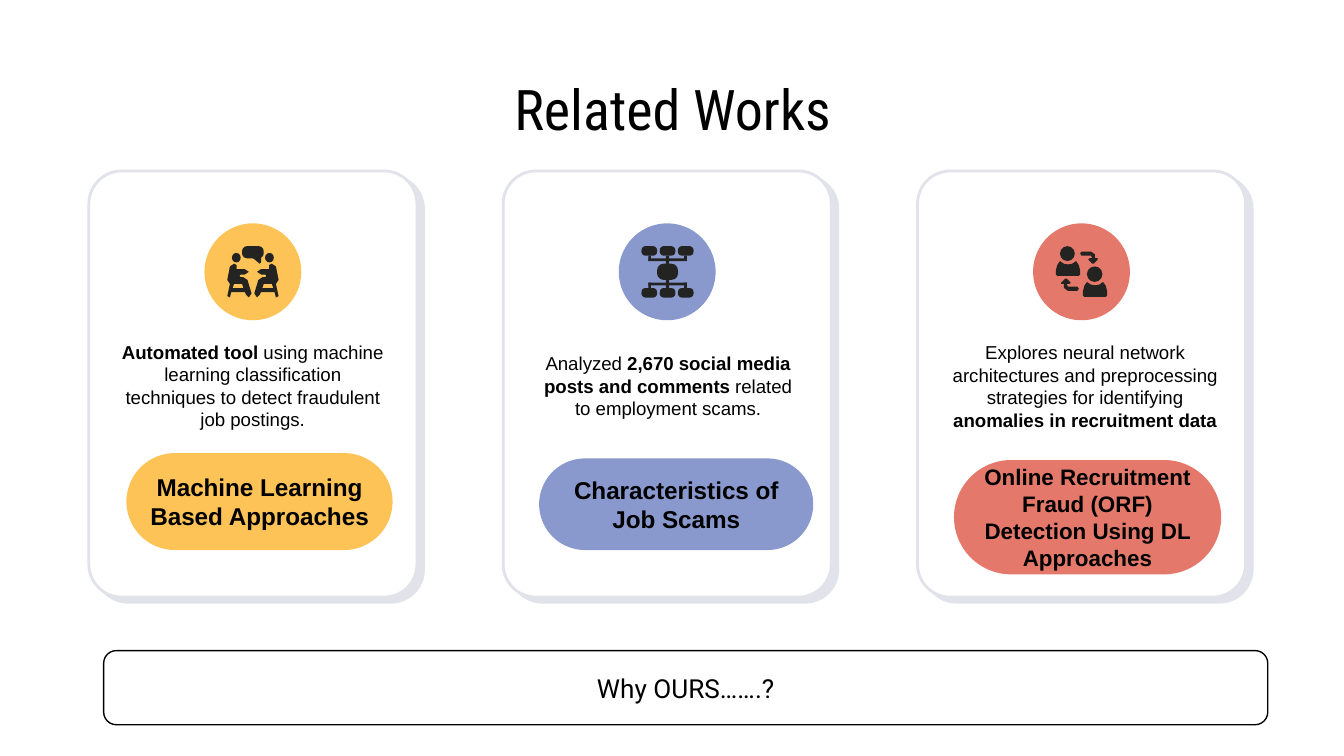
from lxml import etree
from pptx import Presentation
from pptx.dml.color import RGBColor
from pptx.enum.shapes import MSO_SHAPE
from pptx.enum.text import MSO_ANCHOR, PP_ALIGN
from pptx.oxml.ns import qn
from pptx.util import Cm, Pt

ROUNDED, ELLIPSE, RECTANGLE = MSO_SHAPE.ROUNDED_RECTANGLE, MSO_SHAPE.OVAL, MSO_SHAPE.RECTANGLE
CENTER, MIDDLE = PP_ALIGN.CENTER, MSO_ANCHOR.MIDDLE

BLACK = RGBColor(0x00, 0x00, 0x00)
WHITE = RGBColor(0xFF, 0xFF, 0xFF)
INK = RGBColor(0x23, 0x23, 0x21)
BORDER = RGBColor(0xE1, 0xE2, 0xEA)
YELLOW = RGBColor(0xFE, 0xC3, 0x57)
BLUE = RGBColor(0x89, 0x99, 0xCE)
RED = RGBColor(0xE4, 0x79, 0x6B)

# Icons lie on a 38 x 38 grid: (preset, box) or (None, list of outlines)
TORSO = [(5, 13), (7, 14), (7, 17), (13, 17), (16, 19), (13, 21), (10, 21), (9, 22),
         (10, 23), (12, 23), (15, 25), (18, 35), (16, 38), (14, 36), (13, 34),
         (3, 34), (2, 38), (0, 37), (2, 28), (0, 25), (2, 15)]
STOOL_GAP = [(5, 28), (11, 28), (12, 31), (4, 31)]
BUST = [(3, 11), (6, 13), (9, 13.5), (12, 13), (15, 11), (17, 14), (18, 18),
        (18, 21), (17, 22), (1, 22), (0, 21), (0, 18), (1, 14)]
ARROW = [(19, 4), (26, 4), (29, 6), (29, 9), (31, 9), (31, 10), (28, 13), (27, 13),
         (24, 10), (25, 9), (27, 9), (26, 7), (19, 7), (18, 5.5)]
BUBBLE_TAIL = [(18, 8), (25, 8), (25, 12), (24, 13)]


def mirrored(outline):
    return [(38 - x, y) for x, y in outline]


INTERVIEW = [
    (ELLIPSE, (3.5, 5, 6.5, 7)), (ELLIPSE, (28, 5, 6.5, 7)),
    (ROUNDED, (11, 0, 16, 9)), (None, [BUBBLE_TAIL]),
    (None, [TORSO, STOOL_GAP]), (None, [mirrored(TORSO), mirrored(STOOL_GAP)]),
]
NETWORK = (
    [(ROUNDED, (x, y, 11.5, 7)) for y in (0, 31) for x in (0, 13.5, 27)]
    + [(RECTANGLE, (x, y, 2, 4)) for y in (7, 27) for x in (5, 31.5)]
    + [(RECTANGLE, (5, y, 28.5, 2)) for y in (9, 27)]
    + [(RECTANGLE, (18, 7, 2.5, 24)), (ROUNDED, (11.5, 13, 15.5, 12))]
)
EXCHANGE = [
    (ELLIPSE, (3, 0, 11, 11)), (ELLIPSE, (23, 15, 11.5, 11.5)),
    (None, [BUST]), (None, [[(x + 20, y + 15.5) for x, y in BUST]]),
    (None, [ARROW]), (None, [[(35 - x, 37 - y) for x, y in ARROW]]),
]

# Boxes are left, top, width, height in cm; text is paragraphs of (words, bold)
TITLE = [[("Related Works", False)]]
BANNER = [[("Why OURS…….?", False)]]
CARDS = [
    {"color": YELLOW, "icon": INTERVIEW, "size": 13,
     "summary_box": (2.03, 6.5, 5.49, 1.57), "pill_box": (2.39, 8.56, 5.03, 1.83),
     "summary": [[("Automated tool", True),
                  (" using machine learning classification techniques to detect "
                   "fraudulent job postings.", False)]],
     "heading": [[("Machine Learning", True)], [("Based Approaches", True)]]},
    {"color": BLUE, "icon": NETWORK, "size": 13,
     "summary_box": (9.88, 6.5, 5.49, 1.57), "pill_box": (10.19, 8.66, 5.18, 1.73),
     "summary": [[("Analyzed ", False), ("2,670 social media posts and comments", True),
                  (" related to employment scams.", False)]],
     "heading": [[("Characteristics of Job Scams", True)]]},
    {"color": RED, "icon": EXCHANGE, "size": 12,
     "summary_box": (17.7, 6.38, 5.61, 1.83), "pill_box": (18.03, 8.69, 5.05, 2.16),
     "summary": [[("Explores neural network architectures and preprocessing strategies "
                   "for identifying ", False), ("anomalies in recruitment data", True)]],
     "heading": [[("Online Recruitment Fraud (ORF) Detection Using DL Approaches", True)]]},
]
CARD_LEFT, CARD_TOP, CARD_WIDTH, CARD_HEIGHT, CARD_PITCH = 1.68, 3.23, 6.2, 8.05, 7.83
CIRCLE_TOP, CIRCLE_SIZE, ICON_SIZE = 4.22, 1.83, 0.97
GRID = ICON_SIZE / 38

presentation = Presentation()
presentation.slide_width, presentation.slide_height = Cm(25.4), Cm(14.28)
slide = presentation.slides.add_slide(presentation.slide_layouts[6])


def style(shape, fill=None, line=None, width=1):
    shape.shadow.inherit = False
    if fill is None:
        shape.fill.background()
    else:
        shape.fill.solid()
        shape.fill.fore_color.rgb = fill
    if line is None:
        shape.line.fill.background()
    else:
        shape.line.color.rgb = line
        shape.line.width = Pt(width)
    return shape


def add_preset(preset, box, corner=None, **look):
    shape = slide.shapes.add_shape(preset, *map(Cm, box))
    if corner is not None:
        shape.adjustments[0] = corner
    return style(shape, **look)


def write(shape, paragraphs, size=10, font="Arial", side_inset=0.25):
    frame = shape.text_frame
    frame.word_wrap = True
    frame.vertical_anchor = MIDDLE
    frame.margin_left = frame.margin_right = Cm(side_inset)
    frame.margin_top = frame.margin_bottom = Cm(0.25)
    for index, runs in enumerate(paragraphs):
        paragraph = frame.add_paragraph() if index else frame.paragraphs[0]
        paragraph.alignment = CENTER
        for words, bold in runs:
            run = paragraph.add_run()
            run.text = words
            run.font.name, run.font.size, run.font.bold = font, Pt(size), bold
            run.font.color.rgb = BLACK


def add_hard_shadow(shape, color):
    effects = shape._element.spPr.find(qn("a:effectLst"))
    shadow = etree.SubElement(effects, qn("a:outerShdw"), dist=str(Pt(4.5)),
                              dir=str(38 * 60000), algn="bl", rotWithShape="0")
    etree.SubElement(shadow, qn("a:srgbClr"), val=str(color))


def add_icon(parts, left, top):
    for preset, geometry in parts:
        if preset is not None:
            x, y, width, height = (value * GRID for value in geometry)
            corner = 0.4 if preset == ROUNDED else None
            add_preset(preset, (left + x, top + y, width, height), corner, fill=INK)
            continue
        outlines = [[(Cm(left + x * GRID), Cm(top + y * GRID)) for x, y in outline]
                    for outline in geometry]
        builder = slide.shapes.build_freeform(*outlines[0][0])
        for index, outline in enumerate(outlines):
            if index:
                builder.move_to(*outline[0])
            builder.add_line_segments(outline[1:], close=True)
        style(builder.convert_to_shape(), fill=INK)


# Title
write(slide.shapes.add_textbox(*map(Cm, (2.01, 1.5, 21.41, 1.07))), TITLE,
      size=30, font="Roboto Condensed")

# Cards
for position, card in enumerate(CARDS):
    left = CARD_LEFT + position * CARD_PITCH
    panel = add_preset(ROUNDED, (left, CARD_TOP, CARD_WIDTH, CARD_HEIGHT), 0.1,
                       fill=WHITE, line=BORDER, width=1.5)
    add_hard_shadow(panel, BORDER)

    pill = add_preset(ROUNDED, card["pill_box"], 0.5, fill=card["color"])
    write(pill, card["heading"], size=card["size"], side_inset=0)

    circle_left = left + (CARD_WIDTH - CIRCLE_SIZE) / 2
    add_preset(ELLIPSE, (circle_left, CIRCLE_TOP, CIRCLE_SIZE, CIRCLE_SIZE),
               fill=card["color"])
    margin = (CIRCLE_SIZE - ICON_SIZE) / 2
    add_icon(card["icon"], circle_left + margin, CIRCLE_TOP + margin)

    write(slide.shapes.add_textbox(*map(Cm, card["summary_box"])), card["summary"])

# Closing banner
banner = add_preset(ROUNDED, (1.96, 12.29, 22, 1.4), 0.17, line=BLACK, width=0.75)
write(banner, BANNER, size=14, font="Roboto")

presentation.save("out.pptx")
